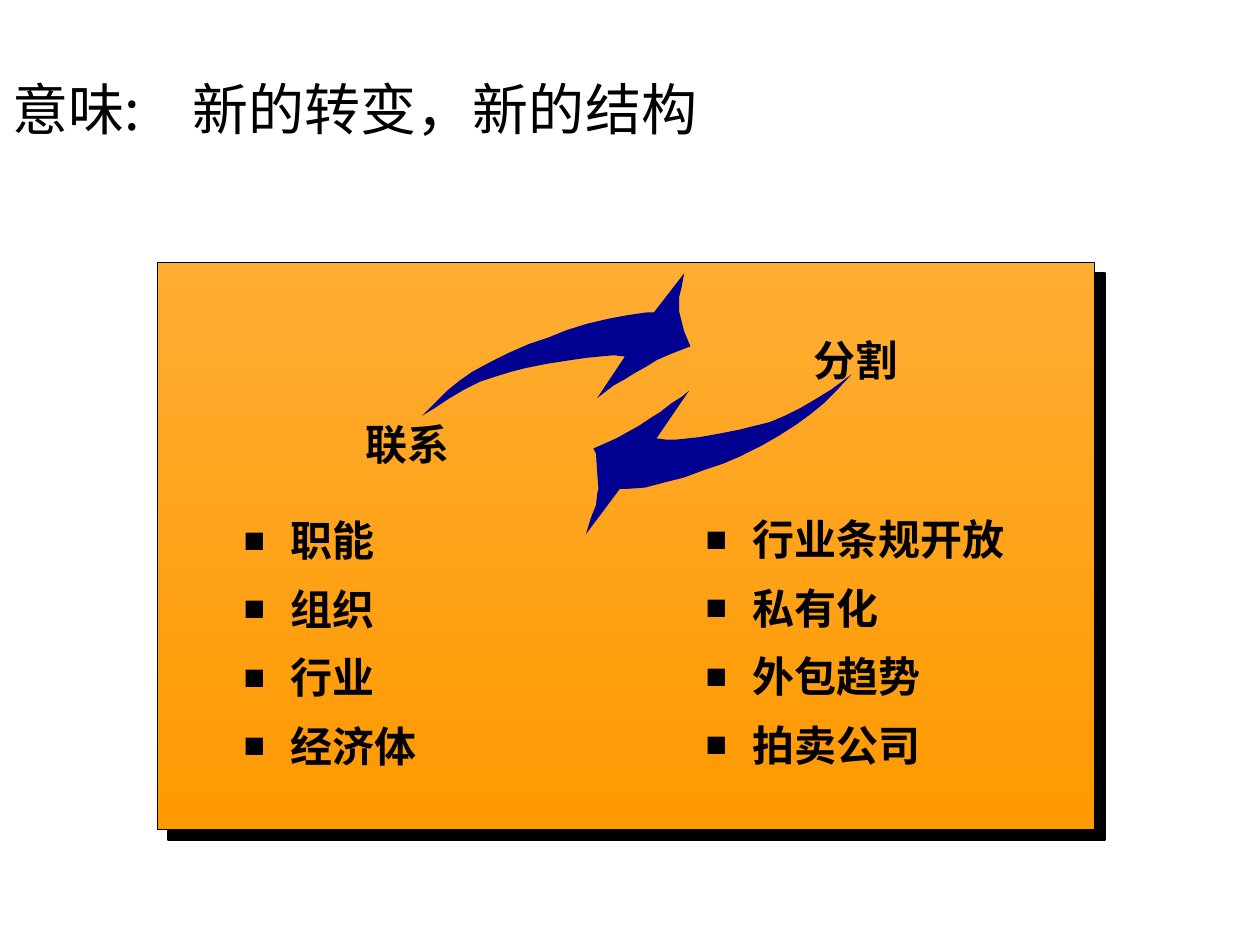
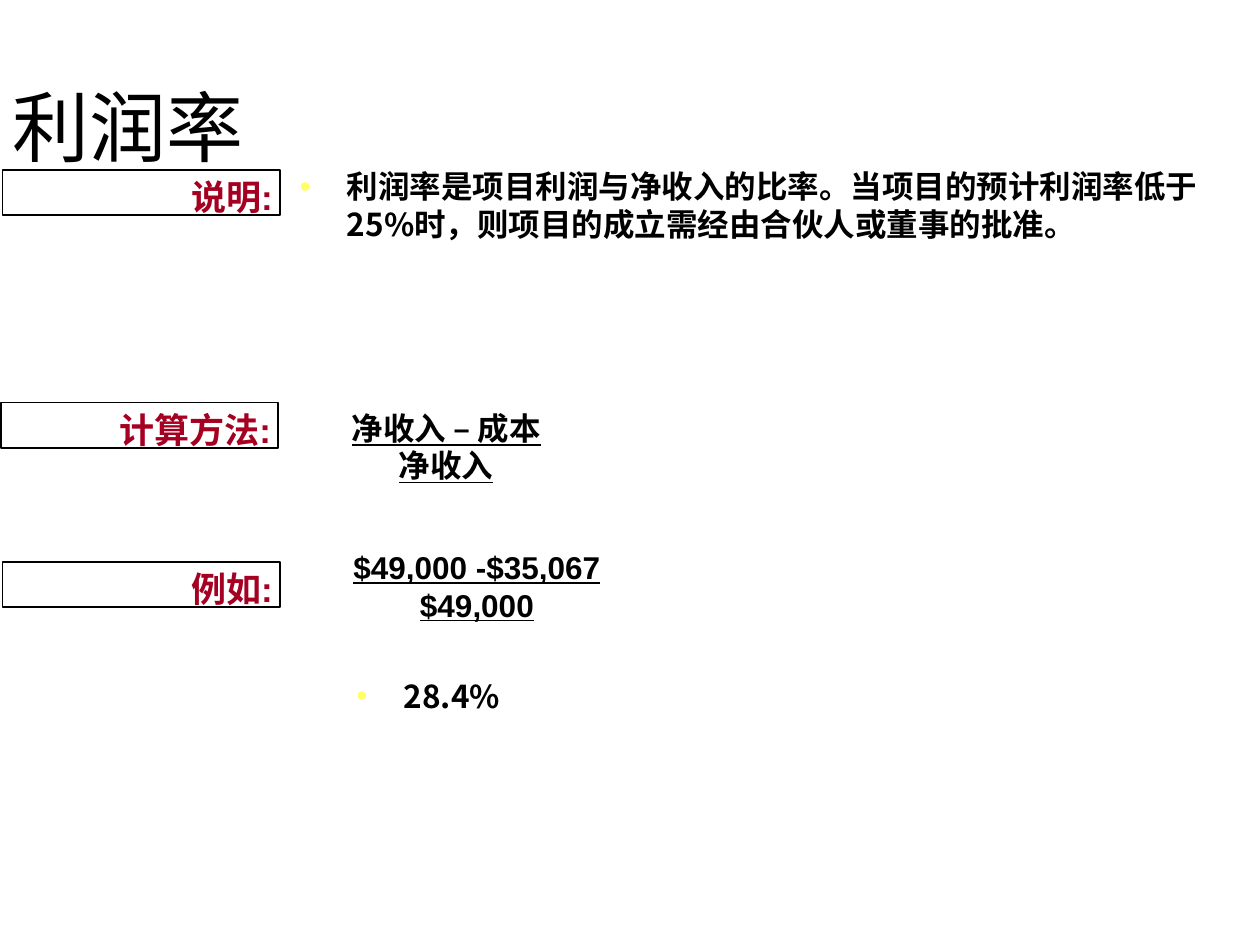
from lxml import etree
from pptx import Presentation
from pptx.dml.color import RGBColor
from pptx.enum import shapes, text
from pptx.oxml import ns
from pptx.util import Pt

HUES = {"ink": "000000", "paper": "FFFFFF", "top": "FFAD33", "base": "FF9900",
        "arrow": "000091", "label": "A50021", "dot": "FFFF66"}
SANS, HAN = "Arial", "Noto Sans CJK SC"
LEFT, MID, RIGHT = (text.PP_ALIGN.LEFT, text.PP_ALIGN.CENTER,
                    text.PP_ALIGN.RIGHT)

# Arrow outlines, in hundredths of an inch
UPPER = [
    (335, 330), (346, 319), (355, 310), (365, 302), (375, 295), (390, 287),
    (404, 280), (420, 273), (435, 268), (450, 262), (466, 257), (483, 253),
    (499, 250), (513, 248), (519, 248), (543, 217), (541, 228), (539, 236),
    (539, 247), (541, 255), (543, 263), (548, 275), (540, 278), (530, 282),
    (521, 286), (513, 291), (504, 296), (496, 301), (487, 306), (474, 316),
    (496, 283), (487, 282), (466, 284), (452, 286), (433, 289), (418, 292),
    (406, 295), (393, 299), (381, 303), (369, 309), (357, 316), (345, 324)]
LOWER = [
    (676, 297), (664, 310), (654, 320), (643, 329), (632, 337), (618, 346),
    (604, 354), (588, 362), (574, 368), (559, 373), (543, 379), (527, 383),
    (512, 387), (498, 388), (492, 388), (465, 424), (469, 411), (473, 401),
    (474, 392), (475, 388), (474, 375), (473, 360), (471, 356), (480, 352),
    (489, 348), (498, 343), (507, 338), (516, 332), (524, 327), (533, 320),
    (541, 315), (547, 310), (521, 348), (529, 349), (536, 349), (555, 347),
    (572, 344), (587, 341), (599, 338), (611, 335), (623, 330), (635, 324),
    (647, 317), (660, 309)]


def rgb(name):
    return RGBColor.from_string(HUES[name])


def child(node, tag, **attrs):
    return etree.SubElement(node, ns.qn("a:" + tag), attrs)


class Deck:
    def __init__(self):
        self.prs = Presentation()
        self.prs.slide_width, self.prs.slide_height = Pt(720), Pt(540)

    def page(self):
        layout = self.prs.slide_layouts[3]
        self.slide = self.prs.slides.add_slide(layout)
        for spot in list(self.slide.placeholders):
            if spot.placeholder_format.idx > 2:
                spot.element.getparent().remove(spot.element)

    def place(self, shape, box):
        shape.left, shape.top, shape.width, shape.height = map(Pt, box)
        frame = shape.text_frame
        frame.word_wrap = True
        frame.auto_size = text.MSO_AUTO_SIZE.NONE
        frame.vertical_anchor = text.MSO_ANCHOR.TOP
        return frame

    def fill_in(self, frame, lines, size, font=SANS, hue="ink", bold=True,
                align=LEFT, lead=1.3, gap=0, under=False, mark=None):
        """Fill a frame; mark is (character, colour, percent size)."""
        for i, line in enumerate(lines):
            para = frame.paragraphs[0] if i == 0 else frame.add_paragraph()
            para.alignment = align
            para.line_spacing = Pt(size * lead)
            para.space_before, para.space_after = Pt(0), Pt(gap)
            if mark:
                self.bullet(para, *mark)
            run = para.add_run()
            run.text = line
            face = run.font
            face.size, face.name, face.bold = Pt(size), font, bold
            face.color.rgb = rgb(hue)
            if under:
                face.underline = True
            child(run._r.get_or_add_rPr(), "ea", typeface=HAN)

    def bullet(self, para, char, hue, scale):
        props = para._p.get_or_add_pPr()
        props.set("marL", str(Pt(27)))
        props.set("indent", str(-Pt(27)))
        child(child(props, "buClr"), "srgbClr", val=HUES[hue])
        child(props, "buSzPct", val=str(scale * 1000))
        child(props, "buFont", typeface=SANS)
        child(props, "buChar", char=char)

    def title(self, words, box, size, tab=None):
        frame = self.place(self.slide.shapes.title, box)
        self.fill_in(frame, [words], size, HAN, bold=False)
        if tab:
            props = frame.paragraphs[0]._p.get_or_add_pPr()
            child(child(props, "tabLst"), "tab", pos=str(Pt(tab)), algn="l")

    def body(self, idx, lines, box, size, **style):
        frame = self.place(self.slide.placeholders[idx], box)
        self.fill_in(frame, lines, size, **style)

    def note(self, lines, box, size, **style):
        shape = self.slide.shapes.add_textbox(*map(Pt, box))
        self.fill_in(self.place(shape, box), lines, size, **style)

    def rect(self, box):
        shape = self.slide.shapes.add_shape(shapes.MSO_SHAPE.RECTANGLE,
                                            *map(Pt, box))
        shape.shadow.inherit = False
        shape.fill.solid()
        shape.fill.fore_color.rgb = rgb("paper")
        shape.line.color.rgb = rgb("ink")
        shape.line.width = Pt(1)
        return shape

    def panel(self, box):
        shape = self.rect(box)
        shape.fill.gradient()
        shape.fill.gradient_angle = 270
        for stop, hue in zip(shape.fill.gradient_stops, ("top", "base")):
            stop.color.rgb = rgb(hue)
        effects = shape._element.spPr.find(ns.qn("a:effectLst"))
        cast = child(effects, "outerShdw", dist=str(Pt(8.5)),
                     dir="2700000", algn="tl", rotWithShape="0")
        child(cast, "srgbClr", val=HUES["ink"])
        # Behind the placeholders
        self.slide.shapes._spTree.insert(2, shape._element)

    def arrow(self, points):
        pen = self.slide.shapes.build_freeform(*points[0], scale=Pt(0.72))
        pen.add_line_segments(points[1:], close=True)
        shape = pen.convert_to_shape()
        shape.shadow.inherit = False
        shape.fill.solid()
        shape.fill.fore_color.rgb = rgb("arrow")
        shape.line.fill.background()


def shift(deck):
    deck.page()
    deck.title("意味:\t新的转变，新的结构", (0, 36, 609, 48), 32, tab=103)
    deck.panel((90, 150, 535.5, 324))

    # Two lists
    lists = [(["职能", "组织", "行业", "经济体"], (132, 288, 126, 162)),
             (["行业条规开放", "私有化", "外包趋势", "拍卖公司"],
              (396, 287.5, 251, 162))]
    for idx, (lines, box) in enumerate(lists, 1):
        deck.body(idx, lines, box, 24, gap=8, mark=("■", "ink", 85))

    # Headings and the arrows between them
    for word, left, top in (("联系", 109, 233), ("分割", 365, 185)):
        deck.note([word], (left, top, 248, 40), 24, align=MID)
    for points in (UPPER, LOWER):
        deck.arrow(points)


def margin(deck):
    deck.page()
    deck.title("利润率", (0, 37.5, 540, 90), 44)

    # Statement and result
    dot = ("•", "dot", 100)
    deck.body(1, ["利润率是项目利润与净收入的比率。当项目的预计利润率低于"
                  "25%时，则项目的成立需经由合伙人或董事的批准。"],
              (164, 92, 544, 51), 18, font=HAN, lead=1.2, mark=dot)
    deck.body(2, ["28.4%"], (196.5, 381.5, 98, 29), 18, font=HAN, mark=dot)

    # Fractions
    deck.note(["净收入 – 成本", "净收入"], (168, 230, 174, 50), 18,
              align=MID, lead=1.2, under=True)
    deck.note(["$49,000 -$35,067", "$49,000"], (191.5, 309.5, 162, 50), 18,
              align=MID, lead=1.2, under=True)

    # Row labels
    rows = (("说明:", 1.5, 97), ("计算方法:", 0.5, 230), ("例如:", 1.5, 321))
    for word, left, top in rows:
        deck.rect((left, top, 158.5, 26))
        deck.note([word], (left + 41, top - 2, 120.5, 31), 20,
                  hue="label", align=RIGHT)


def main():
    deck = Deck()
    shift(deck)
    margin(deck)
    deck.prs.save("out.pptx")


if __name__ == "__main__":
    main()
